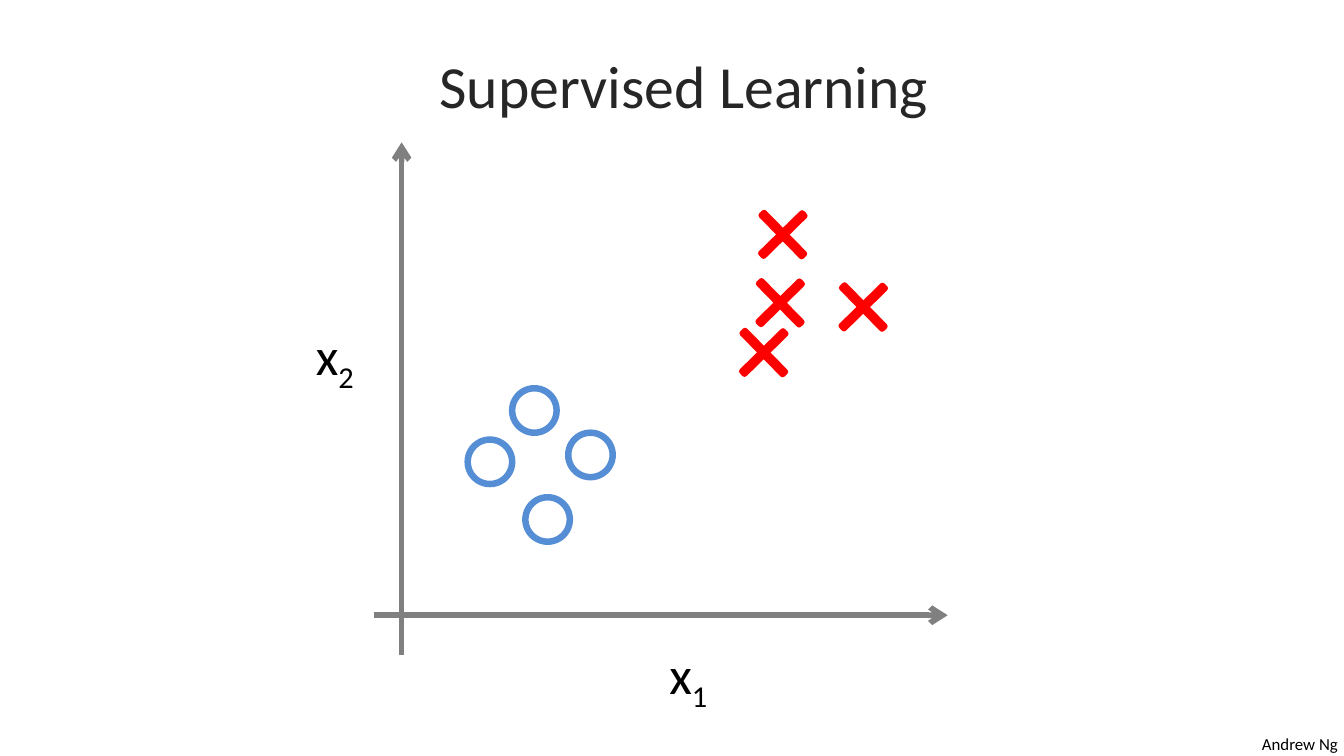
from lxml import etree
from pptx import Presentation
from pptx import util as u
from pptx.dml import color
from pptx.enum import shapes, text
from pptx.oxml import ns

CIRCLES = [(1.78, 5.62), (3.68, 5.49), (2.87, 6.71), (2.62, 4.65)]
CROSSES = [(6.83, 3.43), (7.19, 1.2), (8.71, 2.57), (7.14, 2.49)]


def rgb(value):
    """Turn a hex string into a colour."""
    return color.RGBColor.from_string(value)


def cm(*values):
    """Turn numbers into lengths in centimetres."""
    return [u.Cm(v) for v in values]


def style_line(line, hex_color, width):
    """Set the colour and width of a line."""
    line.color.rgb = rgb(hex_color)
    line.width = u.Pt(width)


def write(sp, box, content, size, hex_color="000000", subscript=""):
    """Place a text shape in its box and fill its single paragraph."""
    sp.left, sp.top, sp.width, sp.height = cm(*box)
    tf = sp.text_frame
    frame = {"word_wrap": False, "vertical_anchor": text.MSO_ANCHOR.TOP,
             "auto_size": text.MSO_AUTO_SIZE.SHAPE_TO_FIT_TEXT}
    for name, value in frame.items():
        setattr(tf, name, value)
    p = tf.paragraphs[0]
    p.alignment = text.PP_ALIGN.LEFT
    for part in filter(None, (content, subscript)):
        r = p.add_run()
        r.text = part
        for name, value in {"name": "Calibri", "size": u.Pt(size)}.items():
            setattr(r.font, name, value)
        r.font.color.rgb = rgb(hex_color)
    if subscript:
        r._r.get_or_add_rPr().set("baseline", "-25000")


def add_axis(s, start, end):
    """Draw one grey axis with an arrowhead at its end."""
    sp = s.shapes.add_connector(shapes.MSO_CONNECTOR.STRAIGHT, *cm(*start, *end))
    style_line(sp.line, "808080", 3)
    etree.SubElement(sp.line._get_or_add_ln(), ns.qn("a:tailEnd"), type="arrow")
    etree.SubElement(sp._element.spPr, ns.qn("a:effectLst"))


def add_marker(s, kind, x, y, size, hex_color, width):
    """Draw one outlined data marker."""
    sp = s.shapes.add_shape(kind, *cm(x, y, size, size))
    sp.shadow.inherit = False
    sp.fill.background()
    style_line(sp.line, hex_color, width)
    return sp


def add_plot(s, box):
    """Draw the two classes, the axes and their labels within the box."""
    left, top, width, height = box
    for x, y in CIRCLES:
        add_marker(s, shapes.MSO_SHAPE.OVAL, left + x, top + y, 0.84, "558ED5", 3.5)
    for x, y in CROSSES:
        sp = add_marker(s, shapes.MSO_SHAPE.CROSS, left + x, top + y, 1.09, "FF0000", 3)
        sp.adjustments[0] = 0.466
        sp.rotation = 45.6
        sp.fill.solid()
        sp.fill.fore_color.rgb = rgb("000000")
    for x, y, index in [(5.34, 9.32, "1"), (-1.34, 3.3, "2")]:
        label = (left + x, top + y, 1.3, 1.45)
        write(s.shapes.add_textbox(*cm(*label)), label, "x", 28, subscript=index)
    axis_x, axis_y = left + 0.53, top + 8.94
    add_axis(s, (axis_x, top + height), (axis_x, top))
    add_axis(s, (left, axis_y), (left + width, axis_y))


def add_footer(s, box):
    """Write the lecturer's name in the corner."""
    write(s.shapes.add_textbox(*cm(*box)), box, "Andrew Ng", 9)


def main():
    """Build and save the slide."""
    prs = Presentation()
    prs.slide_width, prs.slide_height = cm(25.4, 14.29)
    s = prs.slides.add_slide(prs.slide_layouts[5])
    write(s.shapes.title, (8.05, 0.79, 9.86, 1.63), "Supervised Learning", 32, "262626")
    add_plot(s, (7.06, 2.69, 10.85, 9.7))
    add_footer(s, (23.6, 13.74, 1.96, 0.64))
    prs.save("out.pptx")


if __name__ == "__main__":
    main()
